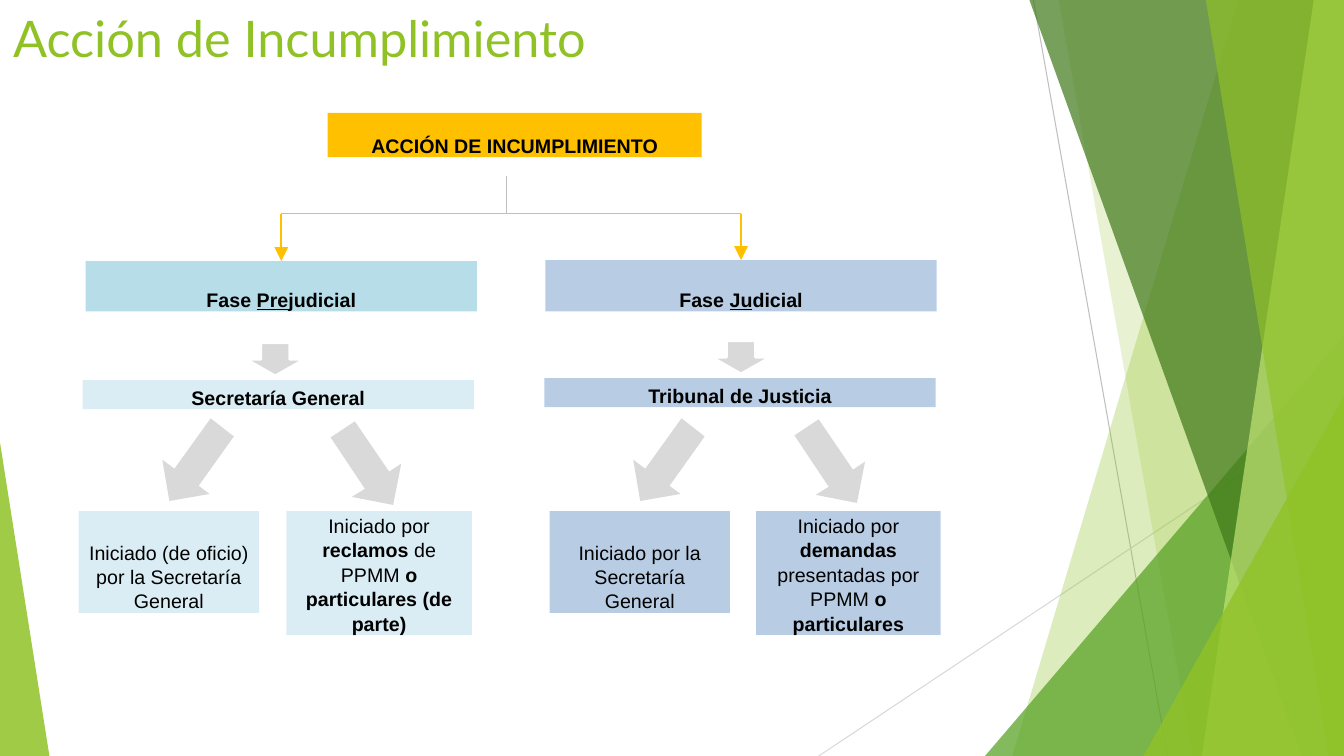
import pptx
import pptx.dml.color
import pptx.enum.shapes
import pptx.enum.text
import pptx.oxml.ns
import pptx.util
from lxml import etree

RGBColor = pptx.dml.color.RGBColor
MSO_SHAPE = pptx.enum.shapes.MSO_SHAPE
Inches = pptx.util.Inches

BLACK = RGBColor(0x00, 0x00, 0x00)
WHITE = RGBColor(0xFF, 0xFF, 0xFF)
LIME = RGBColor(0x90, 0xC2, 0x26)
GREEN = RGBColor(0x54, 0xA0, 0x21)
DARK_GREEN = RGBColor(0x3F, 0x78, 0x19)
PALE_LIME = RGBColor(0xC0, 0xE4, 0x74)
AMBER = RGBColor(0xFF, 0xC0, 0x00)
AQUA = RGBColor(0xB7, 0xDE, 0xE8)
PALE_AQUA = RGBColor(0xDB, 0xED, 0xF4)
BLUE = RGBColor(0xB8, 0xCD, 0xE4)
GREY = RGBColor(0xBF, 0xBF, 0xBF)
LIGHT_GREY = RGBColor(0xD9, 0xD9, 0xD9)

WIDTH, HEIGHT = 13.33, 7.5
TITLE = "Acción de Incumplimiento"

# Runs are (text, style): "b" bold, "u" underlined.
ROOT = ((3.25, 1.12, 3.71, 0.44), AMBER, 0, [[("ACCIÓN DE INCUMPLIMIENTO", "b")]])
PHASES = [
    {
        "phase": ((0.85, 2.59, 3.88, 0.5), AQUA, 0,
                  [[("Fase ", "b"), ("Pre", "bu"), ("judicial", "b")]]),
        "boxes": [
            ((0.82, 3.77, 3.88, 0.29), PALE_AQUA, 0, [[("Secretaría General", "b")]]),
            ((0.78, 5.07, 1.79, 1.01), PALE_AQUA, 0.08,
             [[("Iniciado (de oficio) por la Secretaría General", "")]]),
            ((2.84, 5.07, 1.84, 1.23), PALE_AQUA, 0.17,
             [[("Iniciado por ", ""), ("reclamos ", "b"), ("de PPMM ", ""), ("o", "b")],
              [("particulares (de parte)", "b")]]),
        ],
        "down": (2.44, 3.4), "left": (1.61, 4.15), "right": (3.28, 4.18),
    },
    {
        "phase": ((5.41, 2.58, 3.88, 0.51), BLUE, 0,
                  [[("Fase ", "b"), ("Ju", "bu"), ("dicial", "b")]]),
        "boxes": [
            ((5.4, 3.75, 3.88, 0.29), BLUE, 0, [[("Tribunal de Justicia", "b")]]),
            ((5.45, 5.07, 1.79, 1.01), BLUE, 0.17,
             [[("Iniciado por la Secretaría General", "")]]),
            ((7.5, 5.07, 1.83, 1.23), BLUE, 0.17,
             [[("Iniciado por ", ""), ("demandas ", "b"),
               ("presentadas por PPMM ", ""), ("o", "b")],
              [("particulares", "b")]]),
        ],
        "down": (7.06, 3.38), "left": (6.28, 4.15), "right": (7.88, 4.16),
    },
]
BRANCH_ARROWS = {
    "left": [(0, 0.41), (0.07, 0.82), (0.47, 0.75), (0.36, 0.67),
             (0.71, 0.18), (0.48, 0), (0.12, 0.5)],
    "right": [(0.24, 0), (0, 0.16), (0.34, 0.67), (0.21, 0.75),
              (0.62, 0.83), (0.7, 0.42), (0.58, 0.5)],
}
STEM_X, STEM_TOP, BAR_Y = 5.02, 1.75, 2.12

THIN_LINES = [((10.25, 0), (11.58, HEIGHT), GREY),
              ((WIDTH, 4.03), (8.12, HEIGHT), LIGHT_GREY)]
# Bands reach the right edge: (top x, bottom x, colour, opacity in percent).
BACK_BANDS = [(12.28, 10.04, LIME, 30), (10.5, 11.83, LIME, 20)]
FRONT_BANDS = [(10.21, 12.91, DARK_GREEN, 70), (13.03, 11.92, PALE_LIME, 70),
               (11.96, 13.18, LIME, 65)]
# Corner triangles stand on the bottom edge: (left, width, height, apex, colour, opacity).
BACK_CORNER = (9.77, 3.56, 4.17, 1, GREEN, 72)
FRONT_CORNERS = [(11.34, 1.99, 3.57, 1, LIME, 80), (0, 0.49, 3.11, 0, LIME, 85)]


def add_child(parent, tag, **attributes):
    return etree.SubElement(parent, pptx.oxml.ns.qn(tag), **attributes)


def paint(shape, color, opacity=100):
    shape.shadow.inherit = False
    shape.fill.solid()
    shape.fill.fore_color.rgb = color
    shape.line.fill.background()
    if opacity < 100:
        color_node = shape.fill._xPr.find(".//" + pptx.oxml.ns.qn("a:srgbClr"))
        add_child(color_node, "a:alpha", val=str(opacity * 1000))


def add_polygon(slide, points, color, opacity=100):
    corners = [(Inches(x), Inches(y)) for x, y in points]
    builder = slide.shapes.build_freeform(*corners[0], scale=1.0)
    builder.add_line_segments(corners[1:], close=True)
    paint(builder.convert_to_shape(), color, opacity)


def add_band(slide, top_x, bottom_x, color, opacity):
    points = [(top_x, 0), (WIDTH, 0), (WIDTH, HEIGHT), (bottom_x, HEIGHT)]
    add_polygon(slide, points, color, opacity)


def add_corner(slide, left, width, height, apex, color, opacity):
    frame = map(Inches, (left, HEIGHT - height, width, height))
    triangle = slide.shapes.add_shape(MSO_SHAPE.ISOSCELES_TRIANGLE, *frame)
    triangle.adjustments[0] = apex
    paint(triangle, color, opacity)


def add_line(slide, start, end, color, weight=0.75):
    line = slide.shapes.add_connector(
        pptx.enum.shapes.MSO_CONNECTOR.STRAIGHT, *map(Inches, (*start, *end)))
    line.line.color.rgb = color
    line.line.width = pptx.util.Pt(weight)
    add_child(line._element.spPr, "a:effectLst")
    return line


def add_box(slide, frame, color, inset, paragraphs):
    box = slide.shapes.add_shape(MSO_SHAPE.RECTANGLE, *map(Inches, frame))
    paint(box, color)
    text = box.text_frame
    text.word_wrap = True
    text.vertical_anchor = pptx.enum.text.MSO_ANCHOR.BOTTOM
    text.margin_left = text.margin_right = Inches(inset)
    text.margin_top = text.margin_bottom = 0
    for index, runs in enumerate(paragraphs):
        para = text.add_paragraph() if index else text.paragraphs[0]
        para.alignment = pptx.enum.text.PP_ALIGN.CENTER
        para.line_spacing = 1.04
        for words, style in runs:
            span = para.add_run()
            span.text = words
            span.font.name = "Arial"
            span.font.size = pptx.util.Pt(14)
            span.font.color.rgb = BLACK
            span.font.bold = "b" in style
            span.font.underline = "u" in style
    return box


def add_title(slide):
    box = slide.shapes.add_textbox(*map(Inches, (0.12, 0.06, 6.62, 0.62)))
    text = box.text_frame
    text.word_wrap = True
    text.margin_left = text.margin_top = text.margin_right = text.margin_bottom = Inches(0.01)
    span = text.paragraphs[0].add_run()
    span.text = TITLE
    span.font.name = "Lato"
    span.font.size = pptx.util.Pt(36)
    span.font.color.rgb = LIME


def add_background(slide):
    for line in THIN_LINES:
        add_line(slide, *line)
    for band in BACK_BANDS:
        add_band(slide, *band)
    add_corner(slide, *BACK_CORNER)
    for band in FRONT_BANDS:
        add_band(slide, *band)
    for corner in FRONT_CORNERS:
        add_corner(slide, *corner)


def add_phase(slide, phase):
    """Draw one phase with its arrows and return the x of its centre."""
    left, top, width, _ = phase["phase"][0]
    center = left + width / 2
    heading = add_box(slide, *phase["phase"])
    arrow = add_line(slide, (center, BAR_Y), (center, top), AMBER, 1.25)
    arrow.end_connect(heading, 0)
    add_child(arrow.line._get_or_add_ln(), "a:tailEnd", type="triangle", w="lg", len="lg")
    for box in phase["boxes"]:
        add_box(slide, *box)
    down = slide.shapes.add_shape(
        MSO_SHAPE.DOWN_ARROW, *map(Inches, (*phase["down"], 0.58, 0.33)))
    paint(down, LIGHT_GREY)
    down.line.color.rgb = WHITE
    down.line.width = pptx.util.Pt(2)
    for side, outline in BRANCH_ARROWS.items():
        x, y = phase[side]
        add_polygon(slide, [(x + dx, y + dy) for dx, dy in outline], LIGHT_GREY)
    return center


def main():
    deck = pptx.Presentation()
    deck.slide_width, deck.slide_height = Inches(WIDTH), Inches(HEIGHT)
    slide = deck.slides.add_slide(deck.slide_layouts[6])
    add_background(slide)
    add_title(slide)
    add_box(slide, *ROOT)
    first, last = [add_phase(slide, phase) for phase in PHASES]
    add_line(slide, (STEM_X, STEM_TOP), (STEM_X, BAR_Y), GREY)
    add_line(slide, (first, BAR_Y), (last, BAR_Y), GREY)
    deck.save("out.pptx")


if __name__ == "__main__":
    main()
